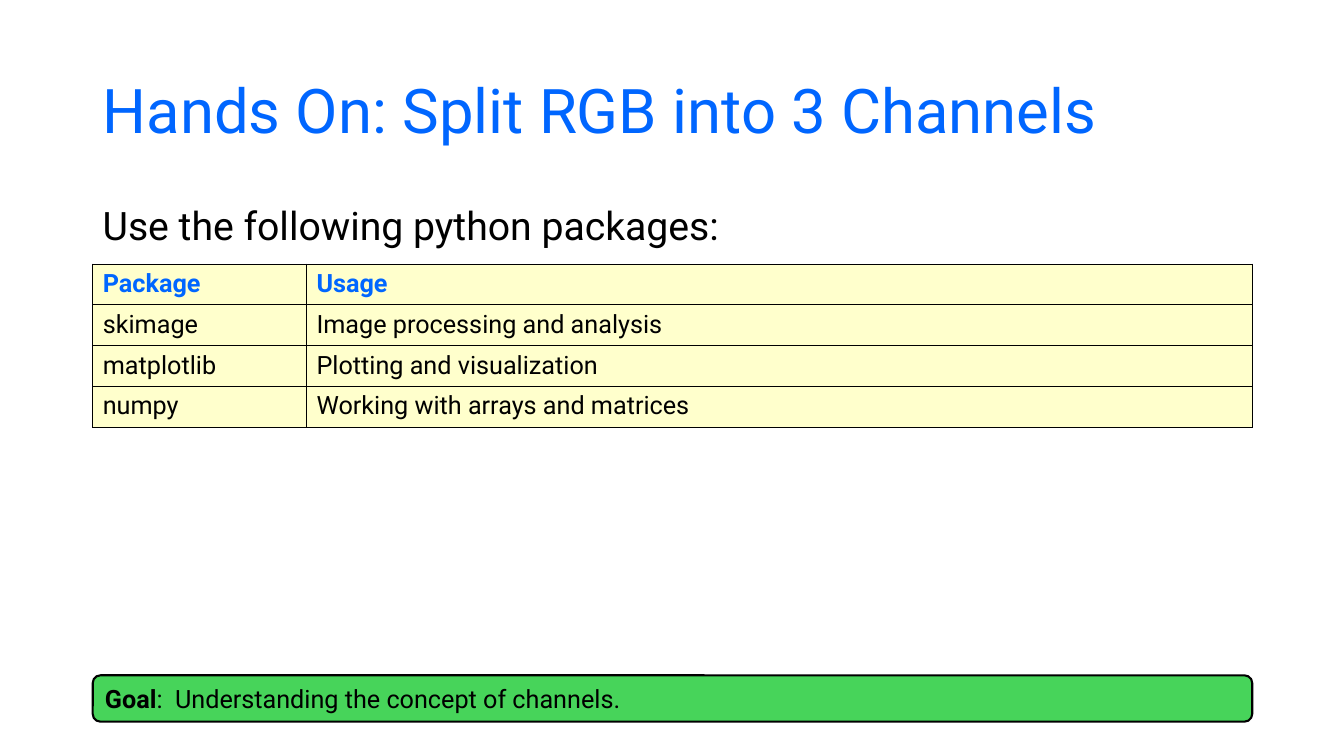
"""Build a slide that lists the Python packages for splitting RGB channels."""
from lxml.etree import SubElement
from pptx import Presentation
from pptx.dml.color import RGBColor
from pptx.enum.shapes import MSO_SHAPE as Shape
from pptx.enum.text import MSO_ANCHOR as Anchor, PP_ALIGN as Align
from pptx.oxml.ns import qn
from pptx.util import Inches, Pt

BLUE = RGBColor(0x00, 0x66, 0xFF)
BLACK = RGBColor(0x00, 0x00, 0x00)
CREAM = RGBColor(0xFF, 0xFF, 0xCC)
GREEN = RGBColor(0x47, 0xD4, 0x5A)
LEFT, WIDTH = Inches(0.92), Inches(11.5)


def write(para, text, size, color=BLACK, bold=False):
    """Add a formatted run to a left-aligned paragraph."""
    para.alignment = Align.LEFT
    run = para.add_run()
    run.text = text
    look = {"name": "Roboto", "size": Pt(size), "bold": bold}
    for key, value in look.items():
        setattr(run.font, key, value)
    run.font.color.rgb = color


def border(cell):
    """Draw a thin black line on each side of a cell."""
    props = cell._tc.get_or_add_tcPr()
    for side in ("lnL", "lnR", "lnT", "lnB"):
        line = SubElement(props, qn(f"a:{side}"), w=str(Pt(1)))
        fill = SubElement(line, qn("a:solidFill"))
        SubElement(fill, qn("a:srgbClr"), val=str(BLACK))


deck = Presentation()
deck.slide_width, deck.slide_height = Inches(13.33), Inches(7.5)
slide = deck.slides.add_slide(deck.slide_layouts[5])

title = slide.shapes.title
place = {"left": LEFT, "top": Inches(0.4), "width": WIDTH, "height": Inches(1.45)}
for key, value in place.items():
    setattr(title, key, value)
title.text_frame.vertical_anchor = Anchor.MIDDLE
para = title.text_frame.paragraphs[0]
para.line_spacing = 0.9
write(para, "Hands On: Split RGB into 3 Channels", 44, BLUE)

intro = slide.shapes.add_textbox(LEFT, Inches(2), WIDTH, Inches(0.62))
intro.text_frame.word_wrap = True
para = intro.text_frame.paragraphs[0]
para.line_spacing, para.space_before = 0.9, Pt(10)
write(para, "Use the following python packages:", 28)

rows = [
    ("Package", "Usage"),
    ("skimage", "Image processing and analysis"),
    ("matplotlib", "Plotting and visualization"),
    ("numpy", "Working with arrays and matrices"),
]
table = slide.shapes.add_table(
    len(rows), 2, LEFT, Inches(2.62), WIDTH, Inches(1.62)
).table
table.first_row = table.horz_banding = False
table.columns[0].width = Inches(2.12)
table.columns[1].width = Inches(9.38)
for r, row in enumerate(rows):
    for c, text in enumerate(row):
        cell = table.cell(r, c)
        border(cell)
        cell.fill.solid()
        cell.fill.fore_color.rgb = CREAM
        head = r == 0
        write(cell.text_frame.paragraphs[0], text, 18, BLUE if head else BLACK, head)

goal = slide.shapes.add_shape(
    Shape.ROUNDED_RECTANGLE, LEFT, Inches(6.7), WIDTH, Inches(0.46)
)
goal.shadow.inherit = False
goal.fill.solid()
goal.fill.fore_color.rgb = GREEN
goal.line.color.rgb = BLACK
goal.line.width = Pt(1.5)
goal.text_frame.vertical_anchor = Anchor.MIDDLE
para = goal.text_frame.paragraphs[0]
write(para, "Goal", 18, bold=True)
write(para, ":  Understanding the concept of channels.", 18)

deck.save("out.pptx")
